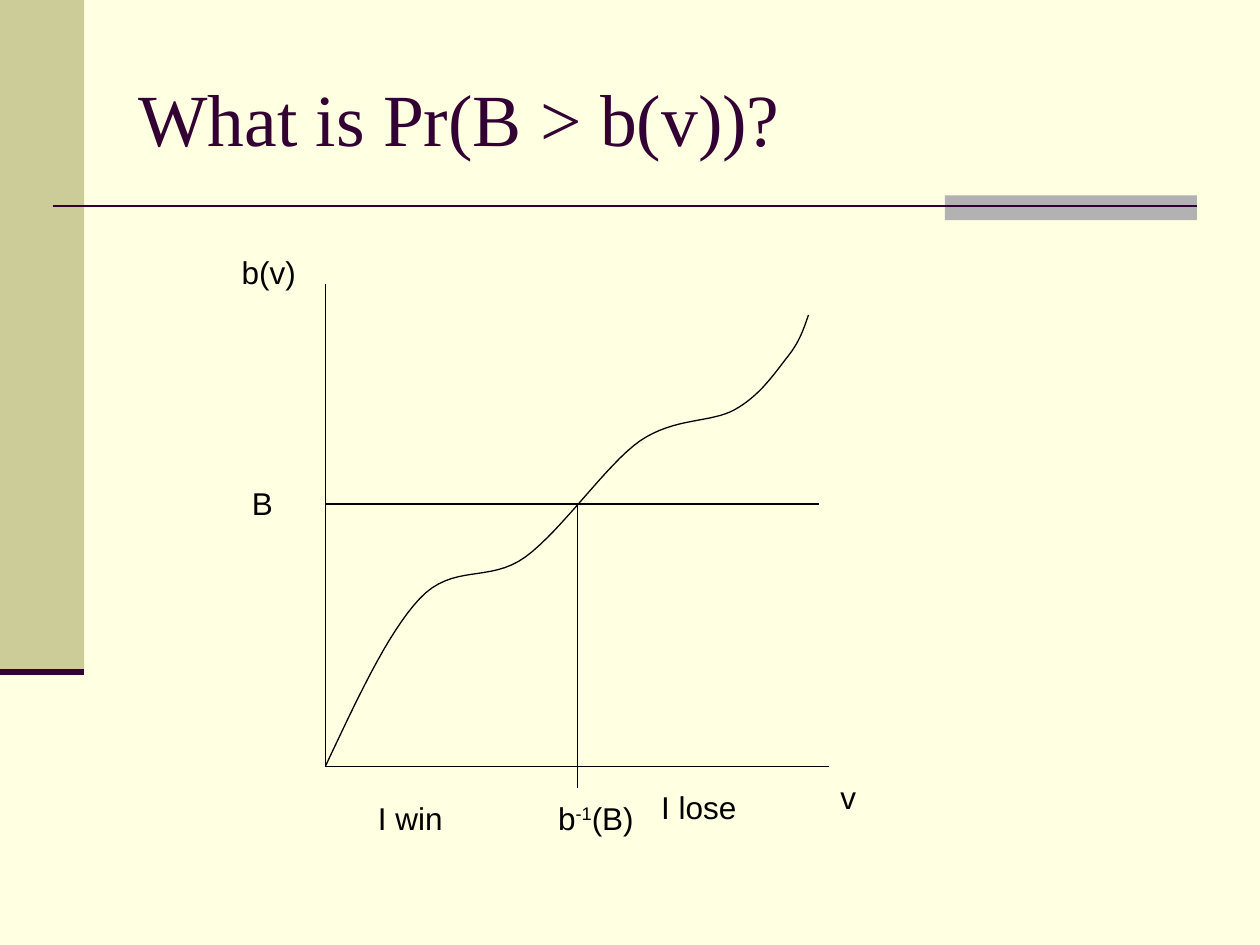
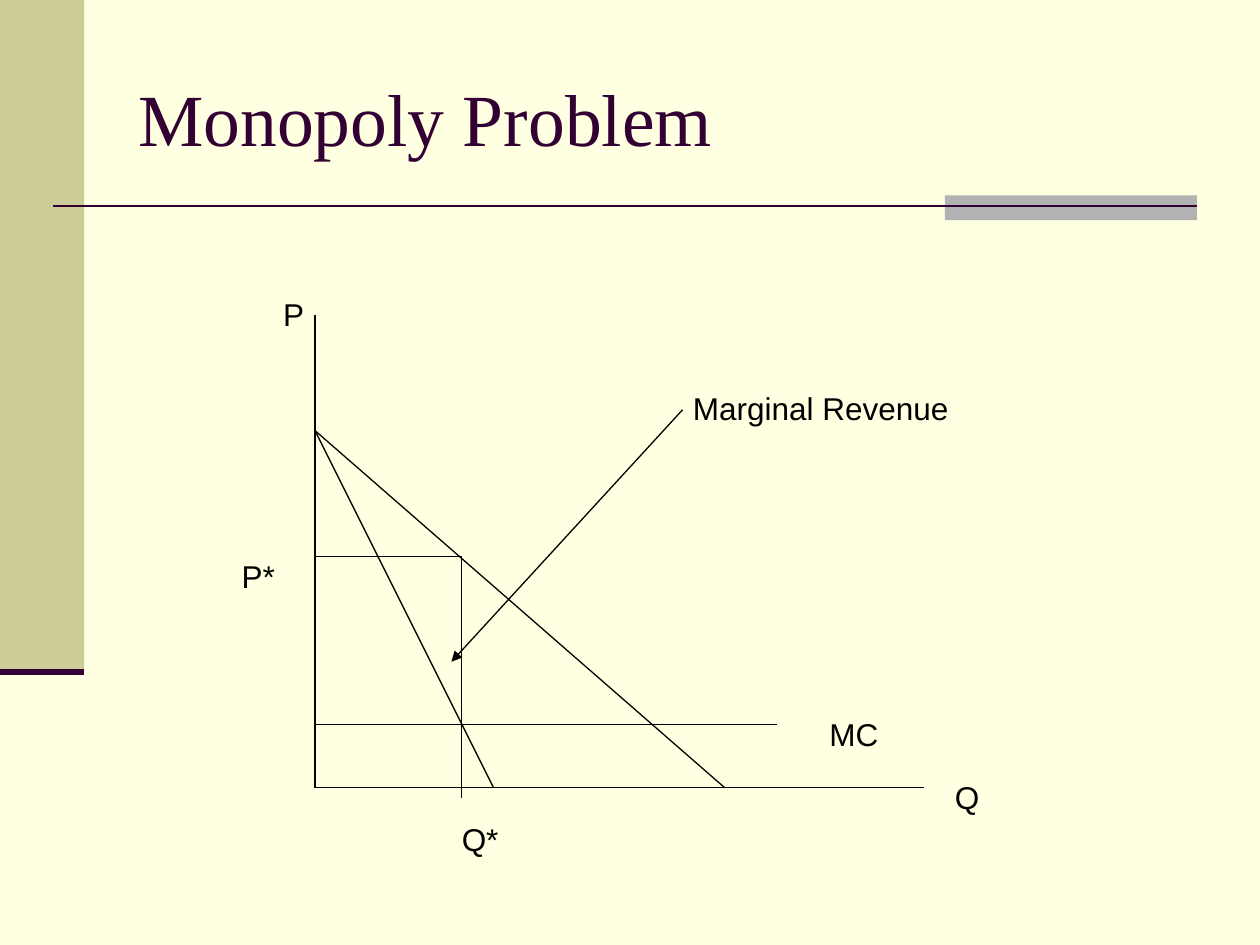
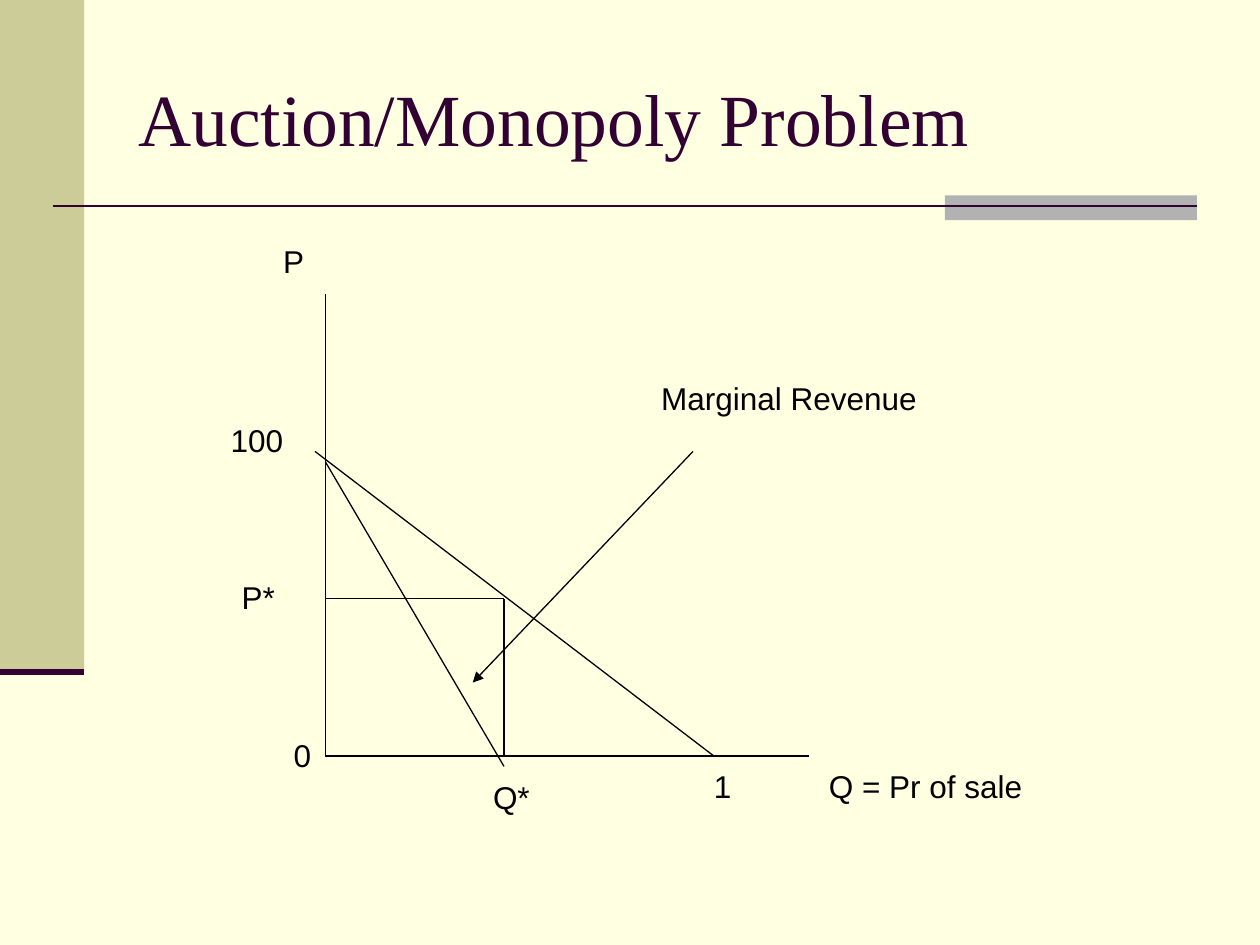
import pptx
import pptx.util
import pptx.dml.color
import pptx.enum.shapes
import pptx.enum.text
import pptx.oxml
import pptx.oxml.ns

Cm = pptx.util.Cm
Pt = pptx.util.Pt
DRAWING = pptx.oxml.ns.nsdecls("a")
COLORS = {"paper": "FFFFE1", "band": "CCCC99", "tab": "B2B2B2",
          "plum": "330033", "ink": "000000"}
RGB = {name: pptx.dml.color.RGBColor.from_string(value) for name, value in COLORS.items()}


def draw_line(page, x1, y1, x2, y2, color="ink", weight=0.75, arrow=False):
    line = page.shapes.add_connector(
        pptx.enum.shapes.MSO_CONNECTOR.STRAIGHT, Cm(x1), Cm(y1), Cm(x2), Cm(y2))
    line.line.color.rgb = RGB[color]
    line.line.width = Pt(weight)
    properties = line._element.spPr
    if arrow:
        properties.find(pptx.oxml.ns.qn("a:ln")).append(
            pptx.oxml.parse_xml(f'<a:tailEnd {DRAWING} type="triangle"/>'))
    properties.append(pptx.oxml.parse_xml(f"<a:effectLst {DRAWING}/>"))


def add_text(page, text, x, y, width, height=1.02, font="Arial", size=18, color="ink"):
    """Write text in a box; a part between two bars is superscript."""
    box = page.shapes.add_textbox(Cm(x), Cm(y), Cm(width), Cm(height))
    box.text_frame.word_wrap = False
    box.text_frame.auto_size = pptx.enum.text.MSO_AUTO_SIZE.SHAPE_TO_FIT_TEXT
    para = box.text_frame.paragraphs[0]
    for index, part in enumerate(text.split("|")):
        span = para.add_run()
        span.text = part
        span.font.name = font
        span.font.size = Pt(size)
        span.font.color.rgb = RGB[color]
        if index % 2:
            span.font._element.set("baseline", "30000")
    return box


# Lines are x1, y1, x2, y2; labels are text, x, y, width; all in centimetres
SLIDES = [
    {"title": "What is Pr(B > b(v))?",
     "lines": [(6.56, 5.72, 6.56, 15.45), (6.56, 15.45, 16.72, 15.45),
               (6.56, 10.16, 16.51, 10.16), (11.64, 10.16, 11.64, 15.88)],
     "arrows": [],
     "labels": [("v", 16.69, 15.55, 0.81), ("b(v)", 4.62, 4.98, 1.6),
                ("B", 4.83, 9.63, 0.91), ("I win", 7.37, 15.98, 1.82),
                ("I lose", 13.08, 15.77, 2.03), ("b|-1|(B)", 11, 15.98, 2.03)]},
    {"title": "Monopoly Problem",
     "lines": [(6.35, 6.35, 6.35, 15.88), (6.35, 15.88, 18.63, 15.88),
               (6.35, 8.68, 14.61, 15.88), (6.35, 8.68, 9.95, 15.88),
               (6.35, 14.61, 15.66, 14.61), (9.31, 16.09, 9.31, 11.22),
               (9.31, 11.22, 6.35, 11.22)],
     "arrows": [(13.76, 8.26, 9.1, 13.34)],
     "labels": [("Q", 19, 15.55, 1), ("P", 5.46, 5.82, 0.91),
                ("Marginal Revenue", 13.72, 7.72, 5.67), ("MC", 16.47, 14.28, 1.5),
                ("P*", 4.62, 11.1, 1.17), ("Q*", 9.06, 16.41, 1.26)]},
    {"title": "Auction/Monopoly Problem",
     "lines": [(6.56, 5.93, 6.56, 15.24), (6.56, 15.24, 16.3, 15.24),
               (6.35, 9.1, 14.39, 15.24), (6.56, 9.31, 10.16, 15.45),
               (10.16, 15.24, 10.16, 12.07), (10.16, 12.07, 6.56, 12.07)],
     "arrows": [(13.97, 9.1, 9.53, 13.76)],
     "labels": [("Q = Pr of sale", 16.46, 15.34, 4.42), ("P", 5.46, 4.75, 0.91),
                ("100", 4.4, 8.36, 1.58), ("0", 5.67, 14.71, 0.86),
                ("1", 14.14, 15.34, 0.86), ("Marginal Revenue", 13.08, 7.52, 5.67),
                ("Q*", 9.69, 15.55, 1.26), ("P*", 4.62, 11.53, 1.17)]},
]

deck = pptx.Presentation()
deck.slide_width, deck.slide_height = Cm(25.4), Cm(19.05)
paper = deck.slide_master.background.fill
paper.solid()
paper.fore_color.rgb = RGB["paper"]

for content in SLIDES:
    page = deck.slides.add_slide(deck.slide_layouts[6])

    # Side band, title rule and its tab
    for color, x, y, width, height in [("band", 0, 0, 1.7, 13.55),
                                       ("tab", 19.05, 3.94, 5.08, 0.5)]:
        block = page.shapes.add_shape(pptx.enum.shapes.MSO_SHAPE.RECTANGLE,
                                      Cm(x), Cm(y), Cm(width), Cm(height))
        block.shadow.inherit = False
        block.fill.solid()
        block.fill.fore_color.rgb = RGB[color]
        block.line.fill.background()
    draw_line(page, 1.06, 4.15, 24.13, 4.15, "plum", 1.5)
    draw_line(page, 0, 13.55, 1.7, 13.55, "plum", 3.5)

    # Title
    title = add_text(page, content["title"], 2.54, 0.78, 21.59, 3.18,
                     "Times New Roman", 42, "plum")
    title.text_frame.word_wrap = True
    title.text_frame.auto_size = pptx.enum.text.MSO_AUTO_SIZE.NONE
    title.text_frame.vertical_anchor = pptx.enum.text.MSO_ANCHOR.MIDDLE

    # Diagram
    for ends in content["lines"]:
        draw_line(page, *ends)
    for ends in content["arrows"]:
        draw_line(page, *ends, arrow=True)
    for label in content["labels"]:
        add_text(page, *label)

# Bid curve on the first slide: each row is two control points and an end point
start = (6.56, 15.45)
BENDS = [
    ((7.19, 14.12), (7.8, 12.78), (8.46, 12.07)),
    ((9.14, 11.35), (9.86, 11.76), (10.59, 11.23)),
    ((11.33, 10.69), (12.22, 9.37), (12.9, 8.89)),
    ((13.61, 8.41), (14.33, 8.53), (14.81, 8.26)),
    ((15.32, 7.98), (15.62, 7.52), (15.88, 7.19)),
    ((16.13, 6.88), (16.21, 6.6), (16.3, 6.35)),
]
STEPS = 16
outline = deck.slides[0].shapes.build_freeform(Cm(start[0]), Cm(start[1]))
points = []
for first, second, end in BENDS:
    for step in range(1, STEPS + 1):
        t = step / STEPS
        points.append([
            Cm((1 - t) ** 3 * a + 3 * (1 - t) ** 2 * t * b + 3 * (1 - t) * t ** 2 * c + t ** 3 * d)
            for a, b, c, d in zip(start, first, second, end)])
    start = end
outline.add_line_segments(points, close=False)
curve = outline.convert_to_shape()
curve.shadow.inherit = False
curve.fill.background()
curve.line.color.rgb = RGB["ink"]
curve.line.width = Pt(0.75)

deck.save("out.pptx")
